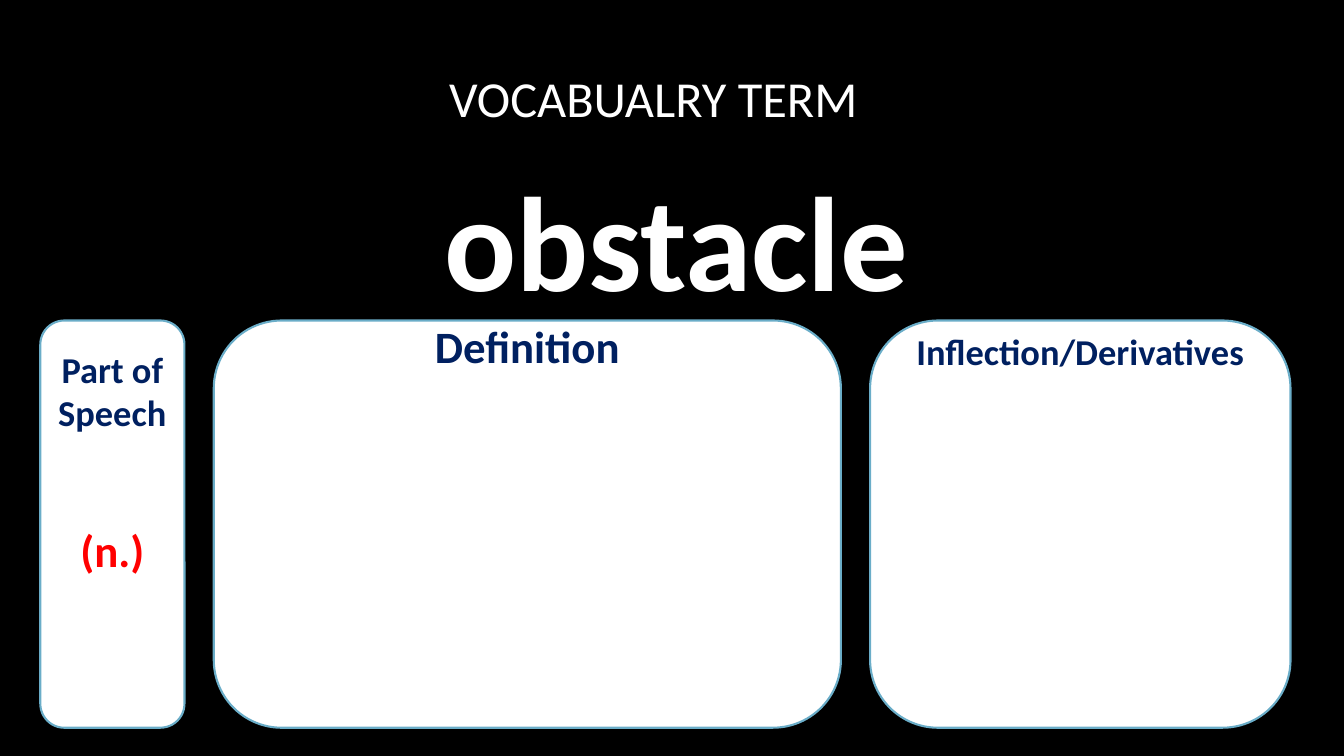
import pptx
import pptx.dml.color
import pptx.enum.shapes
import pptx.enum.text
import pptx.oxml.ns
import pptx.util
from lxml import etree
from pptx.util import Inches

FONT = "Calibri"
BLACK, WHITE, NAVY, RED, BORDER = "000000", "FFFFFF", "002060", "FF0000", "6AADC8"
CARD_TOP, CARD_HEIGHT = 3.18, 4.04


def color(hex_string):
    return pptx.dml.color.RGBColor.from_string(hex_string)


def fill_solid(fill, hex_string):
    fill.solid()
    fill.fore_color.rgb = color(hex_string)


def set_frame(frame, anchor, top=0.0, right=0.05):
    frame.word_wrap = True
    frame.auto_size = pptx.enum.text.MSO_AUTO_SIZE.NONE
    frame.vertical_anchor = anchor
    frame.margin_left = Inches(0.05)
    frame.margin_right = Inches(right)
    frame.margin_top = Inches(top)
    frame.margin_bottom = Inches(0)


def add_text(paragraph, text, size, hex_string, bold=True, before=0, after=0):
    paragraph.alignment = pptx.enum.text.PP_ALIGN.CENTER
    paragraph.space_before = pptx.util.Pt(before)
    paragraph.space_after = pptx.util.Pt(after)
    run = paragraph.add_run()
    run.text = text
    run.font.name = FONT
    run.font.size = pptx.util.Pt(size)
    run.font.bold = bold
    run.font.color.rgb = color(hex_string)


def place(shape, left, top, width, height):
    shape.left, shape.top = Inches(left), Inches(top)
    shape.width, shape.height = Inches(width), Inches(height)


def remove_bullet(paragraph):
    properties = paragraph._p.get_or_add_pPr()
    properties.set("marL", "0")
    properties.set("indent", "0")
    etree.SubElement(properties, pptx.oxml.ns.qn("a:buNone"))


def add_card(slide, left, width, heading, size, text_top):
    card = slide.shapes.add_shape(
        pptx.enum.shapes.MSO_SHAPE.ROUNDED_RECTANGLE,
        Inches(left), Inches(CARD_TOP), Inches(width), Inches(CARD_HEIGHT))
    card.shadow.inherit = False
    fill_solid(card.fill, WHITE)
    card.line.color.rgb = color(BORDER)
    card.line.width = pptx.util.Pt(1.5)
    set_frame(card.text_frame, pptx.enum.text.MSO_ANCHOR.TOP, text_top)
    add_text(card.text_frame.paragraphs[0], heading, size, NAVY)
    return card


def main():
    presentation = pptx.Presentation()
    presentation.slide_width = Inches(13.33)
    presentation.slide_height = Inches(7.5)
    slide = presentation.slides.add_slide(presentation.slide_layouts[1])
    fill_solid(slide.background.fill, BLACK)

    # Title, set slightly left of centre by its right margin
    title = slide.shapes.title
    place(title, 1.17, 0.46, 11.08, 0.96)
    set_frame(title.text_frame, pptx.enum.text.MSO_ANCHOR.MIDDLE, 0.06, 0.51)
    add_text(title.text_frame.paragraphs[0], "VOCABUALRY TERM", 36, WHITE, bold=False)

    # Vocabulary word
    word = slide.placeholders[1]
    place(word, 1.17, 1.42, 11.08, 1.76)
    set_frame(word.text_frame, pptx.enum.text.MSO_ANCHOR.TOP, 0.14)
    paragraph = word.text_frame.paragraphs[0]
    remove_bullet(paragraph)
    add_text(paragraph, "obstacle", 96, WHITE, after=10)

    # Cards; negative top margins lift headings into the rounded corners' band
    speech = add_card(slide, 0.4, 1.43, "Part of Speech", 26, 0.19)
    add_text(speech.text_frame.add_paragraph(), "(n.)", 32, RED, before=63)
    add_card(slide, 2.12, 6.22, "Definition", 32, -0.21)
    add_card(slide, 8.63, 4.17, "Inflection/Derivatives", 26, -0.11)

    presentation.save("out.pptx")


if __name__ == "__main__":
    main()
